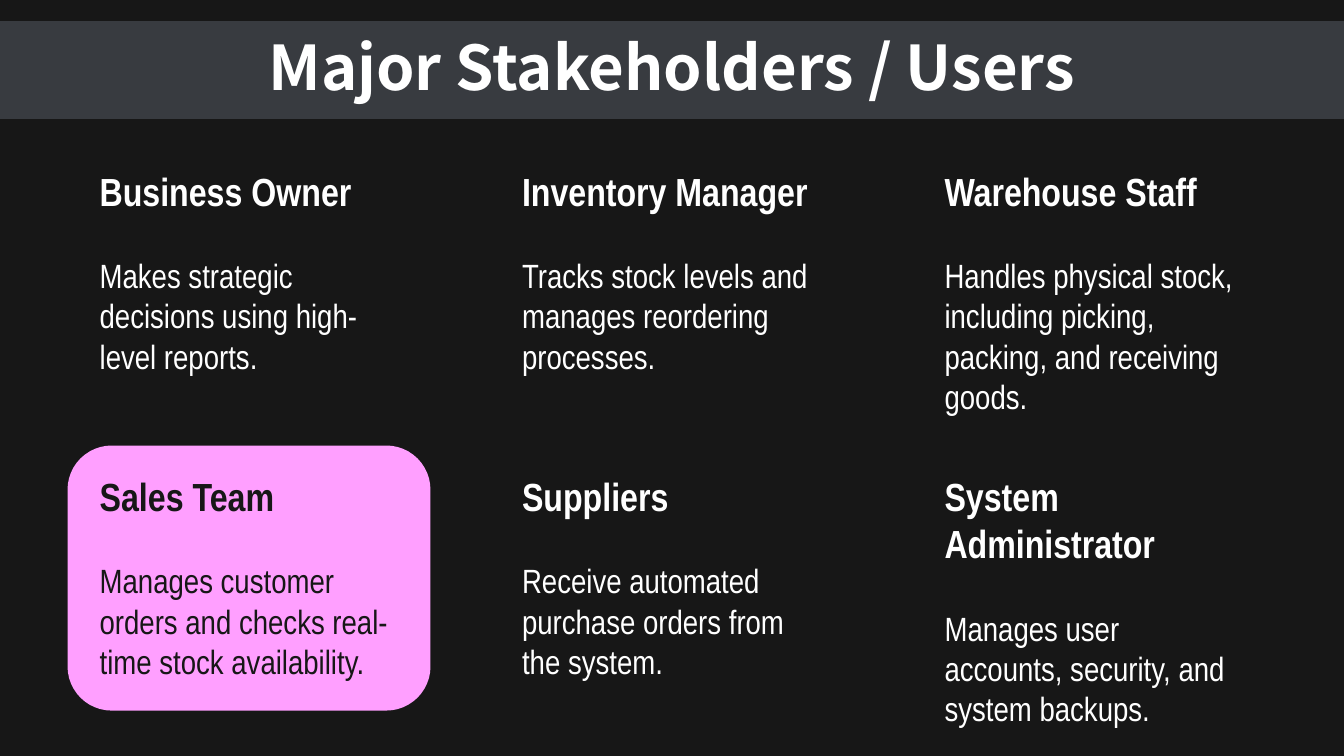
from pptx import Presentation
from pptx.dml.color import RGBColor
from pptx.enum.shapes import MSO_SHAPE
from pptx.enum.text import MSO_ANCHOR, MSO_AUTO_SIZE, PP_ALIGN
from pptx.util import Inches, Pt

TITLE = "Major Stakeholders / Users"
STAKEHOLDERS = [
    [
        ("Business Owner", "Makes strategic decisions using high-level reports."),
        ("Inventory Manager", "Tracks stock levels and manages reordering processes."),
        ("Warehouse Staff", "Handles physical stock, including picking, packing, and receiving goods."),
    ],
    [
        ("Sales Team", "Manages customer orders and checks real-time stock availability."),
        ("Suppliers", "Receive automated purchase orders from the system."),
        ("System Administrator", "Manages user accounts, security, and system backups."),
    ],
]
HIGHLIGHTED = "Sales Team"
DARK, BAND, PINK, WHITE = "171717", "383B40", "FF9FFF", "FFFFFF"
TITLE_FONT, BODY_FONT = "Noto Sans CJK KR", "Arial Narrow"
GRID_LEFT, GRID_TOP = 0.89, 1.61
COLUMN_STEP, ROW_STEP = 4.19, 3.03
CELL_WIDTH, CELL_HEIGHT = 3.16, 2.19
CARD_MARGIN = 0.22


def color(value):
    return RGBColor.from_string(value)


def paint(fill, value):
    fill.solid()
    fill.fore_color.rgb = color(value)


def style(para, font, size, value, bold):
    para.font.name = font
    para.font.size = Pt(size)
    para.font.color.rgb = color(value)
    para.font.bold = bold


def place(left, top, width, height):
    return [Inches(length) for length in (left, top, width, height)]


def add_title(page, width):
    box = page.shapes.title
    box.left, box.top, box.width, box.height = place(0, 0.21, width, 0.97)
    paint(box.fill, BAND)
    frame = box.text_frame
    frame.text = TITLE
    frame.auto_size = MSO_AUTO_SIZE.NONE
    frame.vertical_anchor = MSO_ANCHOR.MIDDLE
    para = frame.paragraphs[0]
    para.alignment = PP_ALIGN.CENTER
    para.line_spacing = 0.9
    style(para, TITLE_FONT, 44, WHITE, True)


def add_card(page, left, top):
    card = page.shapes.add_shape(
        MSO_SHAPE.ROUNDED_RECTANGLE,
        *place(left - CARD_MARGIN, top - CARD_MARGIN,
               CELL_WIDTH + 2 * CARD_MARGIN, CELL_HEIGHT + 2 * CARD_MARGIN),
    )
    card.shadow.inherit = False
    paint(card.fill, PINK)
    card.line.fill.background()


def add_stakeholder(page, left, top, role, duty):
    highlighted = role == HIGHLIGHTED
    if highlighted:
        add_card(page, left, top)
    ink = DARK if highlighted else WHITE
    box = page.shapes.add_textbox(*place(left, top, CELL_WIDTH, CELL_HEIGHT))
    frame = box.text_frame
    frame.word_wrap = True
    frame.auto_size = MSO_AUTO_SIZE.SHAPE_TO_FIT_TEXT
    heading = frame.paragraphs[0]
    heading.text = role
    heading.space_after = Pt(29)
    style(heading, BODY_FONT, 28, ink, True)
    body = frame.add_paragraph()
    body.text = duty
    style(body, BODY_FONT, 24, ink, False)


def main():
    deck = Presentation()
    deck.slide_width, deck.slide_height = Inches(13.33), Inches(7.5)
    page = deck.slides.add_slide(deck.slide_layouts[5])
    paint(page.background.fill, DARK)
    add_title(page, 13.33)
    for row, stakeholders in enumerate(STAKEHOLDERS):
        for column, (role, duty) in enumerate(stakeholders):
            left = GRID_LEFT + column * COLUMN_STEP
            top = GRID_TOP + row * ROW_STEP
            add_stakeholder(page, left, top, role, duty)
    deck.save("out.pptx")


if __name__ == "__main__":
    main()
